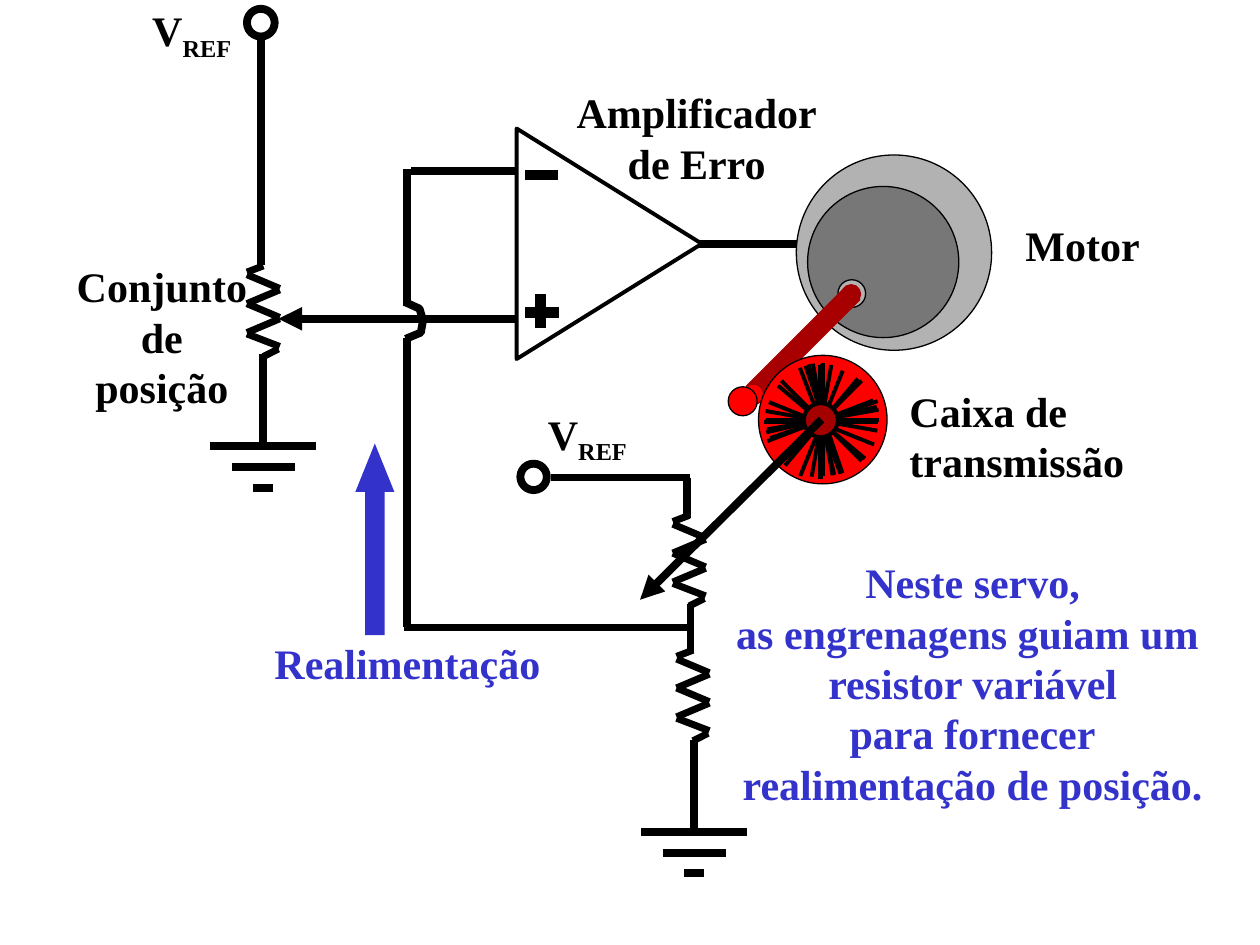
from math import cos, radians, sin
from pptx import Presentation
from pptx.dml.color import RGBColor
from pptx.enum.shapes import MSO_CONNECTOR, MSO_SHAPE
from pptx.enum.text import PP_ALIGN
from pptx.oxml.ns import qn
from pptx.util import Inches, Pt
from lxml.etree import SubElement

BLACK = RGBColor(0, 0, 0)
BLUE = RGBColor(0x33, 0x33, 0xCC)
LIGHT = RGBColor(0xB2, 0xB2, 0xB2)
GRAY = RGBColor(0x77, 0x77, 0x77)
RED = RGBColor(0xFF, 0, 0)
DARK = RGBColor(0xA4, 0, 0)
SHAFT = RGBColor(0xA8, 0, 0)
FONT = "Times New Roman"
LEFT, MID = PP_ALIGN.LEFT, PP_ALIGN.CENTER
# Side insets by alignment: left, right
INSETS = {LEFT: (0.1, 0), MID: (0.05, 0.05)}

# Labels: box, colour, alignment, lines; "_" starts a subscript
LABELS = [
    ((8.04, 1.69, 1.1, 0.5), BLACK, LEFT, ["Motor"]),
    ((4.48, 0.64, 2.1, 0.9), BLACK, MID, ["Amplificador", "de Erro"]),
    ((0.51, 2.02, 1.55, 1.3), BLACK, MID, ["Conjunto", "de", "posição"]),
    ((1.11, -0.01, 0.82, 0.56), BLACK, LEFT, ["V_REF"]),
    ((4.25, 3.19, 0.82, 0.56), BLACK, LEFT, ["V_REF"]),
    ((7.12, 3.01, 1.9, 0.9), BLACK, LEFT, ["Caixa de", "transmissão"]),
    ((5.74, 4.37, 3.96, 2.1), BLUE, MID,
     ["Neste servo,", "as engrenagens guiam um ", "resistor variável",
      "para fornecer", "realimentação de posição."]),
    ((2.08, 5.01, 2.31, 0.5), BLUE, LEFT, ["Realimentação"]),
]
# Wires: x1, y1, x2, y2
WIRES = [
    (5.55, 1.94, 6.34, 1.94), (2.07, 2.1, 2.07, 0.31),
    (5.48, 4.79, 5.48, 5.18), (4.37, 3.79, 5.48, 3.79),
    (5.45, 4.11, 5.45, 3.79), (3.23, 2.68, 3.23, 4.98),
    (3.21, 4.98, 5.49, 4.98), (4.09, 1.36, 3.26, 1.36),
    (3.23, 2.43, 3.23, 1.34),
]
SIGNS = [(4.17, 1.39, 4.43, 1.39), (4.17, 2.48, 4.44, 2.48),
         (4.29, 2.6, 4.29, 2.33)]
HOPS = [[(3.36, 2.53), (3.34, 2.64), (3.22, 2.69)],
        [(3.36, 2.55), (3.33, 2.45), (3.22, 2.4)]]
# Resistor strokes and ground bars, relative to their anchor points
ZIGZAG = [(0, 0, -.13, .05), (-.13, .07, .13, .18), (.13, .19, -.13, .3),
          (-.13, .3, .13, .41), (.13, .42, -.13, .53),
          (-.13, .54, .13, .64), (.12, .66, 0, .72)]
GROUND = [(-.42, 0, .42, 0), (-.25, .17, .25, .17), (-.08, .33, .08, .33),
          (0, -.73, 0, -.02)]
TOPS = [(2.09, 2.11), (5.47, 4.09), (5.5, 5.16)]
EARTHS = [(2.09, 3.54), (5.51, 6.6)]
# Discs: left, top, diameter, fill, line colour, line width
TERMS = [(1.96, 0.07, 0.22, None, BLACK, 4.5),
         (4.13, 3.68, 0.21, None, BLACK, 4.5)]
MOTOR = [(6.32, 1.23, 1.55, LIGHT, BLACK, .75),
         (6.41, 1.48, 1.2, GRAY, BLACK, .75),
         (6.65, 2.22, 0.22, LIGHT, BLACK, .75)]
GEARS = [(6.68, 2.26, 0.15, DARK, SHAFT, .75),
         (5.9, 3.05, 0.16, RED, SHAFT, .75),
         (6.02, 2.82, 1.02, RED, BLACK, .75),
         (5.78, 3.07, 0.23, RED, BLACK, .75)]
HUB = (6.38, 3.2, 0.27, DARK, BLACK, 2.25)
ROD = [(6.74, 2.3, 5.95, 3.09), (6.8, 2.35, 6.01, 3.14)]
# Crosses of gear spokes: angle, centre x, centre y
SPOKES = [(0, 6.52, 3.35), (-13, 6.52, 3.33), (10, 6.52, 3.34),
          (0, 6.52, 3.34), (-21, 6.51, 3.34), (-45, 6.52, 3.34),
          (-10, 6.53, 3.33), (0, 6.53, 3.33), (22, 6.52, 3.36),
          (40, 6.52, 3.35), (-19, 6.54, 3.33), (0, 6.51, 3.35)]
INNER, OUTER = 0.11, 0.45

prs = Presentation()
prs.slide_width, prs.slide_height = Inches(10), Inches(7.5)
slide = prs.slides.add_slide(prs.slide_layouts[6])
shapes = slide.shapes


def line(ends, width=4.5, color=BLACK, arrow=False):
    wire = shapes.add_connector(MSO_CONNECTOR.STRAIGHT, *map(Inches, ends))
    wire.line.color.rgb, wire.line.width = color, Pt(width)
    if arrow:
        SubElement(wire.line._get_or_add_ln(), qn("a:tailEnd"), type="triangle")
    SubElement(wire._element.spPr, qn("a:effectLst"))


def paint(shape, fill, color=None, width=1):
    shape.shadow.inherit = False
    if fill is None:
        shape.fill.background()
    else:
        shape.fill.solid()
        shape.fill.fore_color.rgb = fill
    if color is None:
        shape.line.fill.background()
    else:
        shape.line.color.rgb, shape.line.width = color, Pt(width)


def disc(x, y, size, fill, color, width):
    box = map(Inches, (x, y, size, size))
    paint(shapes.add_shape(MSO_SHAPE.OVAL, *box), fill, color, width)


def stamp(strokes, spots, width):
    for x, y in spots:
        for x1, y1, x2, y2 in strokes:
            line((x + x1, y + y1, x + x2, y + y2), width)


def label(box, color, align, rows):
    frame = shapes.add_textbox(*map(Inches, box)).text_frame
    frame.word_wrap = True
    frame.margin_left, frame.margin_right = map(Inches, INSETS[align])
    for i, row in enumerate(rows):
        para = frame.add_paragraph() if i else frame.paragraphs[0]
        para.alignment = align
        for j, part in enumerate(row.split("_")):
            run = para.add_run()
            run.text = part
            for key, value in {"name": FONT, "size": Pt(24), "bold": True}.items():
                setattr(run.font, key, value)
            run.font.color.rgb = color
            if j:
                run.font._element.set("baseline", "-25000")


# Circuit: wires, resistors, grounds, terminals
for ends in WIRES:
    line(ends)
line((4.09, 2.53, 2.21, 2.53), arrow=True)
stamp(ZIGZAG, TOPS, 4)
stamp(GROUND, EARTHS, 4.5)
for term in TERMS:
    disc(*term)
for hop in HOPS:
    points = [(Inches(x), Inches(y)) for x, y in hop]
    path = shapes.build_freeform(*points[0])
    path.add_line_segments(points[1:], close=False)
    paint(path.convert_to_shape(), None, BLACK, 4.5)

# Error amplifier
amp = shapes.add_shape(MSO_SHAPE.ISOSCELES_TRIANGLE,
                       *map(Inches, (3.92, 1.2, 1.83, 1.47)))
amp.rotation = 90
paint(amp, None, BLACK, 2.25)
for sign in SIGNS:
    line(sign, 6)

# Motor, rod and gears
for part in MOTOR:
    disc(*part)
for ends in ROD:
    line(ends, 6, SHAFT)
for part in GEARS:
    disc(*part)
for base, x, y in SPOKES:
    for turn in range(0, 360, 90):
        dx, dy = cos(radians(base + turn)), sin(radians(base + turn))
        line((x + INNER * dx, y + INNER * dy,
              x + OUTER * dx, y + OUTER * dy), 2.25)
disc(*HUB)
line((6.52, 3.33, 5.08, 4.76), arrow=True)

# Feedback arrow
arrow = shapes.add_shape(MSO_SHAPE.UP_ARROW, *map(Inches, (2.82, 3.52, 0.31, 1.52)))
arrow.adjustments[1] = 1.24
paint(arrow, BLUE)

# Labels
for item in LABELS:
    label(*item)

prs.save("out.pptx")
